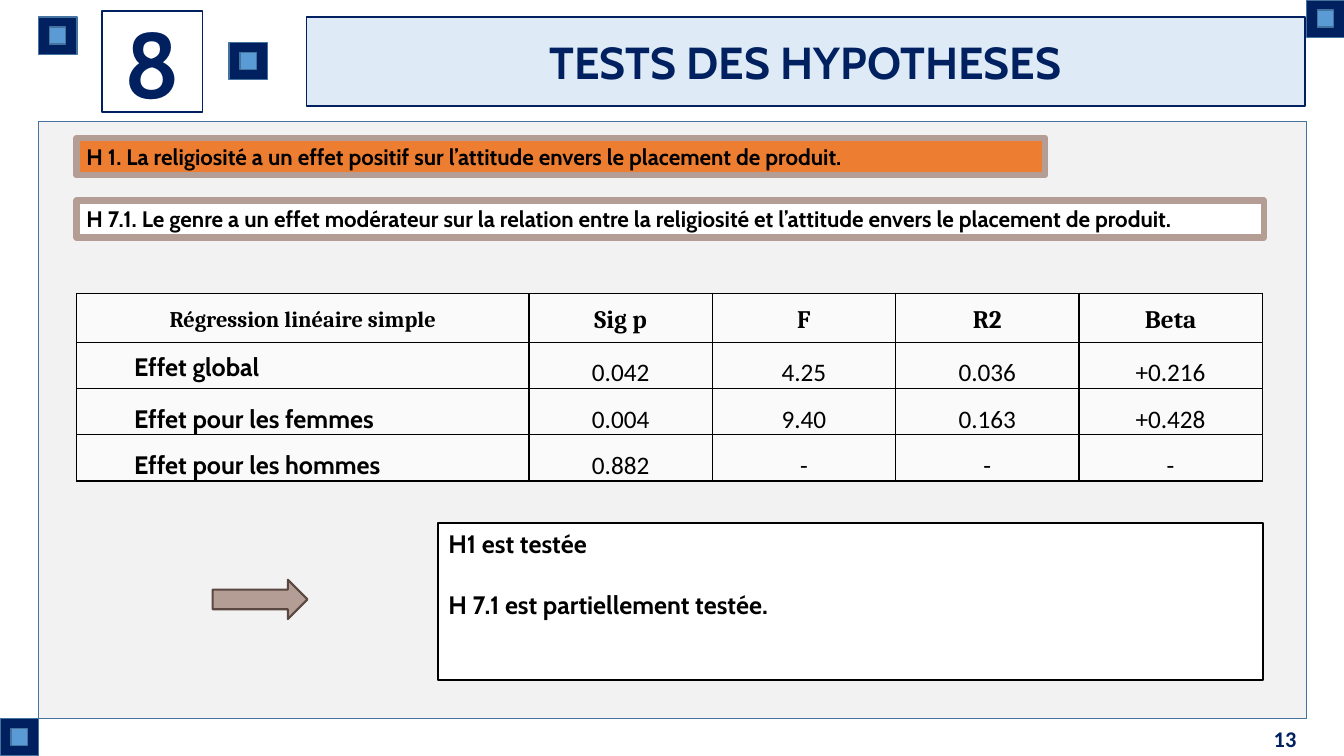
"""Build the slide on the tests of hypotheses."""
from typing import NamedTuple, Optional

from lxml import etree
from pptx import Presentation
from pptx.dml.color import RGBColor
from pptx.enum.shapes import MSO_SHAPE
from pptx.enum.text import MSO_ANCHOR, MSO_AUTO_SIZE, PP_ALIGN
from pptx.oxml.ns import qn
from pptx.util import Cm, Pt

RECT, ARROW = MSO_SHAPE.RECTANGLE, MSO_SHAPE.RIGHT_ARROW
LEFT, MID, RIGHT = PP_ALIGN.LEFT, PP_ALIGN.CENTER, PP_ALIGN.RIGHT
TOP, CENTER = MSO_ANCHOR.TOP, MSO_ANCHOR.MIDDLE
FIXED = MSO_AUTO_SIZE.NONE

NAVY = RGBColor(0x00, 0x20, 0x60)
STEEL = RGBColor(0x43, 0x73, 0x9E)
BLUE = RGBColor(0x5B, 0x9B, 0xD5)
PALE = RGBColor(0xDE, 0xEB, 0xF7)
GREY = RGBColor(0xF2, 0xF2, 0xF2)
ORANGE = RGBColor(0xED, 0x7D, 0x31)
TAUPE = RGBColor(0xB3, 0x9D, 0x94)
BROWN = RGBColor(0x59, 0x47, 0x40)
WHITE = RGBColor(0xFF, 0xFF, 0xFF)
BLACK = RGBColor(0x00, 0x00, 0x00)


class Area(NamedTuple):
    """Place and size in centimetres."""
    left: float
    top: float
    width: float
    height: float


class Font(NamedTuple):
    """Look of a paragraph."""
    size: float
    name: str = "Cabin"
    color: RGBColor = BLACK
    bold: bool = True
    align: PP_ALIGN = LEFT
    lines: Optional[float] = None


class Box(NamedTuple):
    """Filled shape with optional text."""
    area: Area
    fill: RGBColor
    line: RGBColor
    weight: float = 1
    texts: tuple[str, ...] = ()
    font: Font = Font(16)
    anchor: MSO_ANCHOR = TOP
    kind: MSO_SHAPE = RECT


TITLE = Box(Area(7.72, 0.43, 25.17, 2.24), PALE, NAVY, 1, ("TESTS DES HYPOTHESES",),
            Font(32, color=NAVY, align=MID), CENTER)
PANEL = Box(Area(0.97, 3.07, 31.95, 15.04), GREY, STEEL)
CORNERS = ((0, 18.11), (32.92, 0), (0.97, 0.43), (5.77, 1.07))
BOXES = (
    Box(Area(1.93, 3.48, 24.41, 0.94), ORANGE, TAUPE, 4.5,
        ("H 1. La religiosité a un effet positif sur l’attitude envers le placement de produit.",)),
    Box(Area(1.93, 5.05, 29.92, 0.94), WHITE, TAUPE, 4.5,
        ("H 7.1. Le genre a un effet modérateur sur la relation entre la religiosité "
         "et l’attitude envers le placement de produit.",)),
    Box(Area(5.36, 14.61, 2.39, 0.99), TAUPE, BROWN, 1.5, kind=ARROW),
    Box(Area(11.05, 13.18, 20.78, 3.96), WHITE, BLACK, 1.5,
        ("H1 est testée", "H 7.1 est partiellement testée."), Font(18)),
    Box(Area(2.57, 0.28, 2.54, 2.54), WHITE, NAVY, 1, ("8",),
        Font(66, color=NAVY, align=MID), CENTER),
)
GRID = Area(1.93, 7.39, 29.88, 4.66)
WIDTHS = (11.4, 4.62, 4.62, 4.62, 4.62)
HEIGHTS = (1.24, 1.14, 1.14, 1.14)
ROWS = (
    ("Régression linéaire simple", "Sig p", "F", "R2", "Beta"),
    ("Effet global", "0.042", "4.25", "0.036", "+0.216"),
    ("Effet pour les femmes", "0.004", "9.40", "0.163", "+0.428"),
    ("Effet pour les hommes", "0.882", "-", "-", "-"),
)


def place(area: Area) -> tuple[Cm, ...]:
    """Turn an area into lengths."""
    return tuple(Cm(side) for side in area)


def write(frame, texts: tuple[str, ...], font: Font) -> None:
    """Fill a text frame, parting its paragraphs by one line."""
    for rank, text in enumerate(texts):
        para = frame.add_paragraph() if rank else frame.paragraphs[0]
        para.text = text
        para.alignment = font.align
        para.space_before = Pt(22 if rank else 0)
        if font.lines:
            para.line_spacing = font.lines
        para.font.size = Pt(font.size)
        para.font.name = font.name
        para.font.bold = font.bold
        para.font.color.rgb = font.color


def dress(shape, box: Box) -> None:
    """Give a shape its fill, line and text."""
    shape.fill.solid()
    shape.fill.fore_color.rgb = box.fill
    shape.line.color.rgb = box.line
    shape.line.width = Pt(box.weight)
    frame = shape.text_frame
    frame.word_wrap = True
    frame.auto_size = FIXED
    frame.vertical_anchor = box.anchor
    write(frame, box.texts, box.font)


def draw(slide, box: Box) -> None:
    """Add one box to the slide."""
    shape = slide.shapes.add_shape(box.kind, *place(box.area))
    shape.shadow.inherit = False
    dress(shape, box)


def mark(slide, left: float, top: float) -> None:
    """Add a navy square with a blue one inside."""
    draw(slide, Box(Area(left, top, 0.97, 0.94), NAVY, STEEL))
    draw(slide, Box(Area(left + 0.28, top + 0.25, 0.41, 0.43), BLUE, STEEL))


def style(cell) -> None:
    """Give a cell a sheer white fill and thin black borders."""
    cell.fill.solid()
    cell.fill.fore_color.rgb = WHITE
    props = cell._tc.get_or_add_tcPr()
    tint = props.find(f".//{qn('a:srgbClr')}")
    etree.SubElement(tint, qn("a:alpha"), val="65000")
    for rank, side in enumerate(("lnL", "lnR", "lnT", "lnB")):
        edge = etree.Element(qn(f"a:{side}"), w=str(Pt(1)))
        fill = etree.SubElement(edge, qn("a:solidFill"))
        etree.SubElement(fill, qn("a:srgbClr"), val=str(BLACK))
        props.insert(rank, edge)


def pick(row: int, col: int) -> Font:
    """Choose the font of a table cell."""
    if row == 0:
        return Font(18 if col else 16, "Cambria", align=MID, lines=1.15)
    if col == 0:
        return Font(18, lines=1.15 if row == 1 else 1.5)
    return Font(18, "Calibri", bold=False, align=MID, lines=1.5)


def tabulate(slide) -> None:
    """Add the table of regression results."""
    table = slide.shapes.add_table(len(ROWS), len(WIDTHS), *place(GRID)).table
    table.first_row = table.horz_banding = False
    for column, width in zip(table.columns, WIDTHS):
        column.width = Cm(width)
    for row, (texts, height) in enumerate(zip(ROWS, HEIGHTS)):
        table.rows[row].height = Cm(height)
        for col, text in enumerate(texts):
            cell = table.cell(row, col)
            style(cell)
            cell.vertical_anchor = CENTER
            cell.margin_top = cell.margin_bottom = 0
            cell.margin_left = Cm(1.45 if row and not col else 0.18)
            cell.margin_right = Cm(0.18)
            write(cell.text_frame, (text,), pick(row, col))


def main() -> None:
    """Build and save the deck."""
    deck = Presentation()
    deck.slide_width, deck.slide_height = Cm(33.87), Cm(19.05)
    slide = deck.slides.add_slide(deck.slide_layouts[5])
    title = slide.shapes.title
    title.left, title.top, title.width, title.height = place(TITLE.area)
    dress(title, TITLE)
    draw(slide, PANEL)
    for left, top in CORNERS:
        mark(slide, left, top)
    for box in BOXES:
        draw(slide, box)
    tabulate(slide)
    page = slide.shapes.add_textbox(*place(Area(25.3, 18.11, 7.62, 1.02))).text_frame
    page.word_wrap = True
    page.vertical_anchor = CENTER
    write(page, ("13",), Font(16, "Calibri", NAVY, align=RIGHT))
    deck.save("out.pptx")


main()
